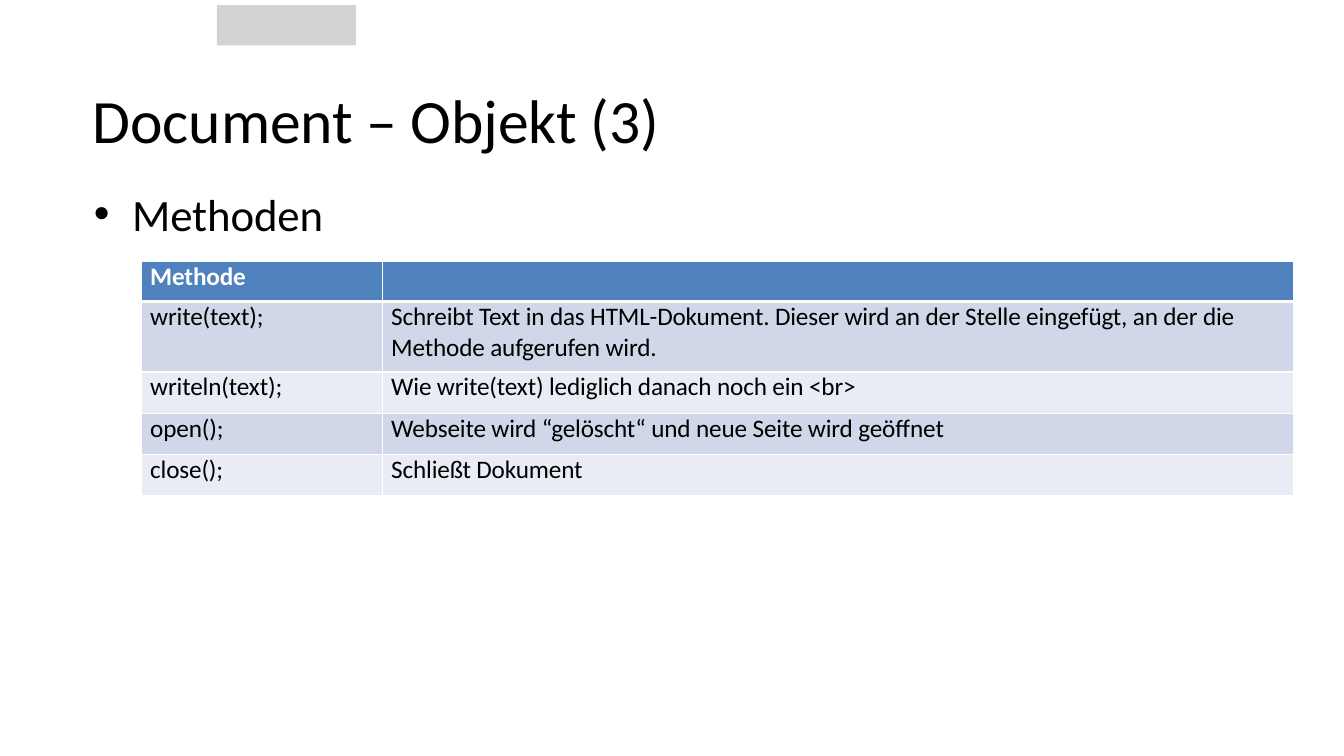
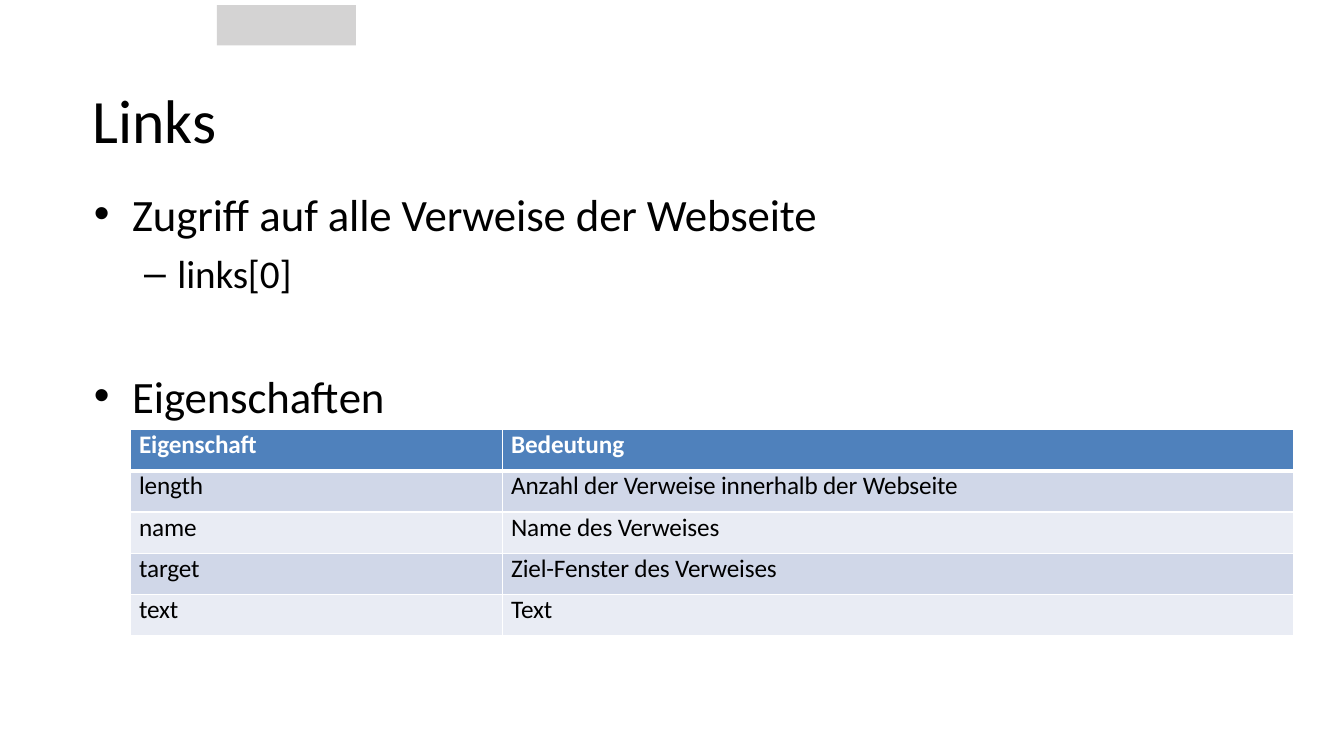
from lxml import etree
from pptx import Presentation
from pptx.dml.color import RGBColor
from pptx.enum import shapes, text
from pptx.oxml import ns
from pptx.util import Inches, Pt

BLACK = RGBColor(0, 0, 0)
WHITE = RGBColor(255, 255, 255)
GREY = RGBColor(0xD4, 0xD3, 0xD3)
BLUE = RGBColor(0x4F, 0x81, 0xBC)
BANDS = RGBColor(0xD0, 0xD7, 0xE8), RGBColor(0xE9, 0xEC, 0xF4)
FONT = "Calibri"
ROW = 0.41


def write(para, words, size=18, color=BLACK, bold=False, before=0):
    """Set the text and format of one paragraph, slightly tightened."""
    para.alignment = text.PP_ALIGN.LEFT
    para.space_before = Pt(before)
    run = para.add_run()
    run.text = words
    font = run.font
    font.name, font.size, font.bold = FONT, Pt(size), bold
    font.color.rgb = color
    run._r.get_or_add_rPr().set("spc", "-10")


def indent(para, left, hang):
    props = para._p.get_or_add_pPr()
    props.set("marL", str(Inches(left)))
    props.set("indent", str(-Inches(hang)))


def place(shape, left, top, width, height):
    shape.left, shape.top = Inches(left), Inches(top)
    shape.width, shape.height = Inches(width), Inches(height)
    frame = shape.text_frame
    frame.word_wrap = True
    frame.auto_size = text.MSO_AUTO_SIZE.NONE
    frame.margin_left = frame.margin_right = 0
    frame.margin_top = frame.margin_bottom = 0
    return frame


def add_tab(slide, layout):
    """Draw the grey tab and move it to the layout that all slides share."""
    tab = slide.shapes.add_shape(
        shapes.MSO_SHAPE.RECTANGLE,
        Inches(2.15), Inches(0.05), Inches(1.38), Inches(0.4))
    tab.shadow.inherit = False
    tab.fill.solid()
    tab.fill.fore_color.rgb = GREY
    tab.line.fill.background()
    layout.shapes._spTree.append(tab._element)


def add_slide(deck, layout, title):
    slide = deck.slides.add_slide(layout)
    frame = place(slide.shapes.title, 0.92, 0.5, 11.5, 1.35)
    frame.vertical_anchor = text.MSO_ANCHOR.MIDDLE
    write(frame.paragraphs[0], title, size=44)
    return slide


def add_list(slide, width, height, items):
    """Fill the body with (text, level, space before) items."""
    frame = place(slide.placeholders[1], 0.92, 1.85, width, height)
    for pos, (words, level, before) in enumerate(items):
        para = frame.add_paragraph() if pos else frame.paragraphs[0]
        para.level = level
        indent(para, *((0.84, 0.33) if level else (0.39, 0.38)))
        write(para, words, size=28 if level else 32, before=before)


def edge(cell, side, width):
    line = etree.SubElement(cell._tc.get_or_add_tcPr(),
                            ns.qn("a:ln" + side), w=str(Pt(width)))
    fill = etree.SubElement(line, ns.qn("a:solidFill"))
    etree.SubElement(fill, ns.qn("a:srgbClr"), val=str(WHITE))


def style(cell, row):
    cell.margin_left = Inches(0.09)
    cell.margin_right = cell.margin_top = cell.margin_bottom = 0
    edge(cell, "L", 1)
    edge(cell, "R", 1)
    edge(cell, "T", 3 if row == 1 else 1)
    edge(cell, "B", 3 if row == 0 else 1)
    cell.fill.solid()
    cell.fill.fore_color.rgb = BANDS[(row - 1) % 2] if row else BLUE


def add_table(slide, left, top, cols, heights, rows):
    grid = slide.shapes.add_table(
        len(rows), len(cols), Inches(left), Inches(top),
        Inches(sum(cols)), Inches(sum(heights))).table
    for col, width in zip(grid.columns, cols):
        col.width = Inches(width)
    for row, (height, texts) in enumerate(zip(heights, rows)):
        grid.rows[row].height = Inches(height)
        for col, words in enumerate(texts):
            cell = grid.cell(row, col)
            style(cell, row)
            if words:
                write(cell.text_frame.paragraphs[0], words,
                      color=BLACK if row else WHITE, bold=row == 0)


def main():
    deck = Presentation()
    deck.slide_width, deck.slide_height = Inches(13.33), Inches(7.5)
    layout = deck.slide_layouts[1]

    slide = add_slide(deck, layout, "Document – Objekt (3)")
    add_tab(slide, layout)
    add_list(slide, 2.31, 0.57, [("Methoden", 0, 0)])
    add_table(slide, 1.4, 2.59, [2.39, 9.04], [0.4, 0.7] + [ROW] * 3, [
        ("Methode", ""),
        ("write(text);", "Schreibt Text in das HTML-Dokument. Dieser wird an "
         "der Stelle eingefügt, an der die Methode aufgerufen wird."),
        ("writeln(text);", "Wie write(text) lediglich danach noch ein <br>"),
        ("open();", "Webseite wird “gelöscht“ und neue Seite wird geöffnet"),
        ("close();", "Schließt Dokument"),
    ])

    slide = add_slide(deck, layout, "Links")
    add_list(slide, 7.26, 2.33, [
        ("Zugriff auf alle Verweise der Webseite", 0, 0),
        ("links[0]", 1, 6.8),
        ("Eigenschaften", 0, 51),
    ])
    add_table(slide, 1.29, 4.26, [3.69, 7.85], [ROW] * 5, [
        ("Eigenschaft", "Bedeutung"),
        ("length", "Anzahl der Verweise innerhalb der Webseite"),
        ("name", "Name des Verweises"),
        ("target", "Ziel-Fenster des Verweises"),
        ("text", "Text"),
    ])
    deck.save("out.pptx")


if __name__ == "__main__":
    main()
